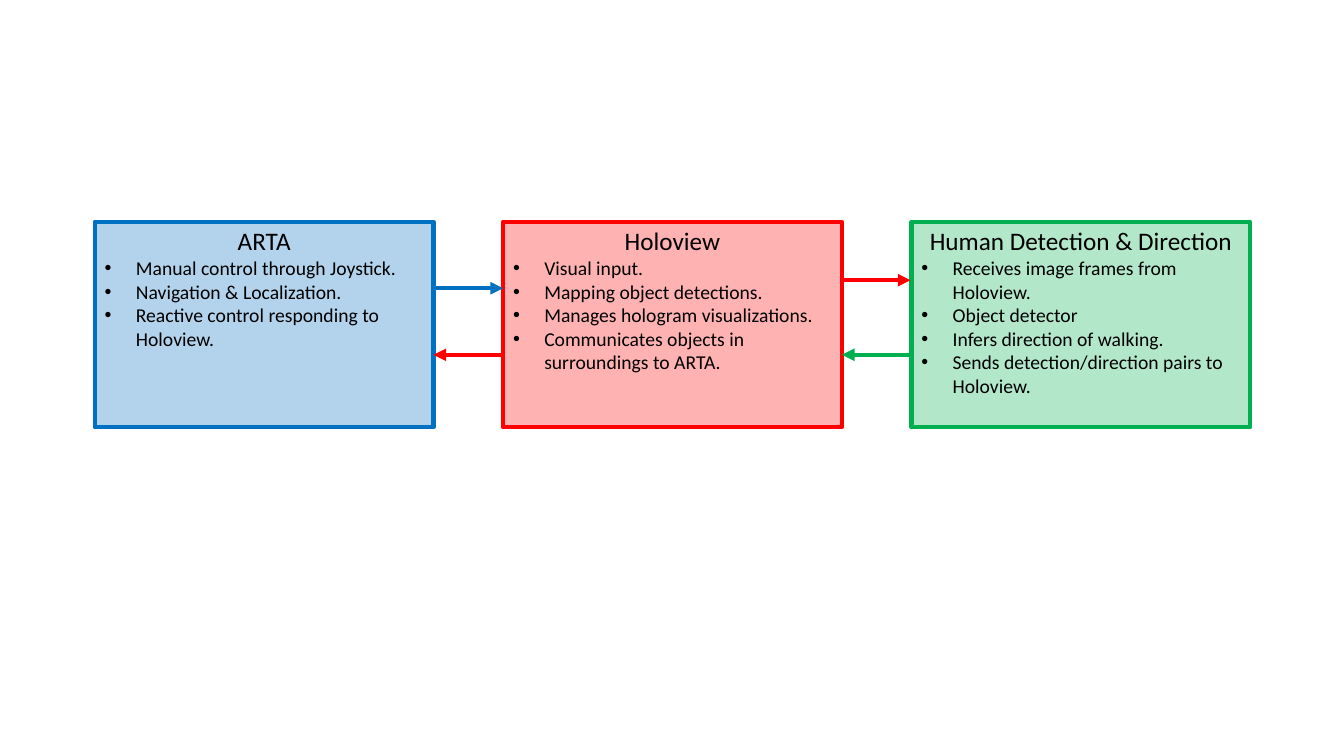
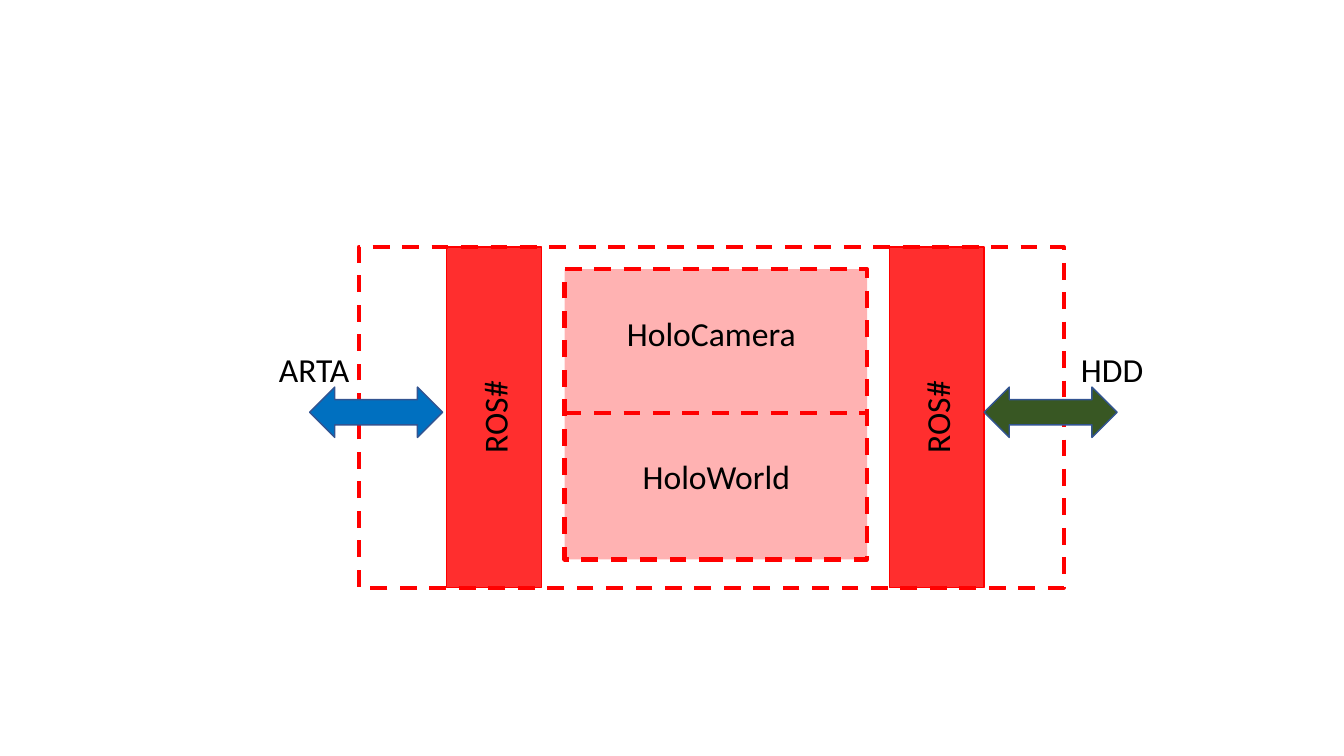
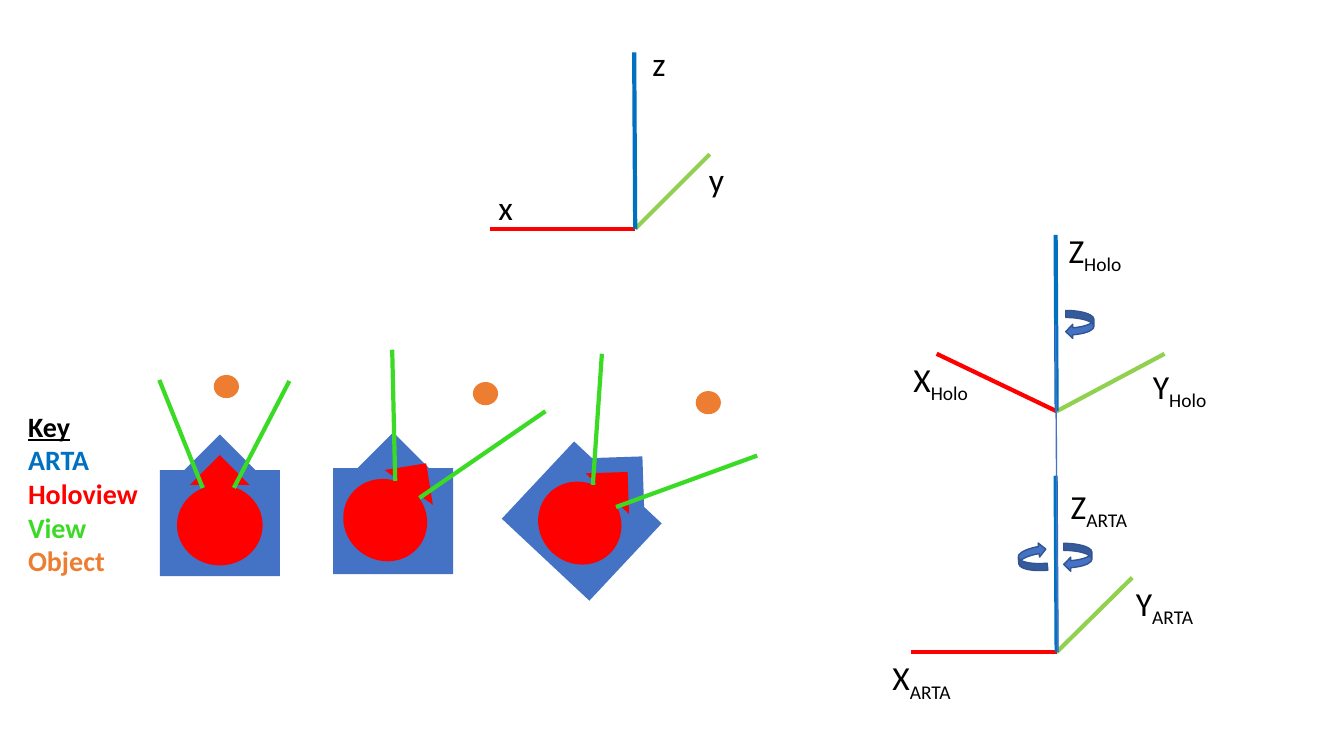
from dataclasses import dataclass
from math import cos, radians, sin

from lxml.etree import SubElement as Sub
from pptx import Presentation
from pptx.dml.color import RGBColor
from pptx.enum.dml import MSO_LINE
from pptx.enum.shapes import MSO_CONNECTOR as Link, MSO_SHAPE as Kind
from pptx.enum.text import MSO_ANCHOR as Anchor, PP_ALIGN as Align
from pptx.oxml.ns import qn
from pptx.util import Inches, Pt

FONT = "Calibri"
BLACK, RED, BLUE, GREEN = "000000", "FF0000", "0070C0", "00B050"
LIME, STEEL, EDGE, PINE = "92D050", "4472C4", "325491", "385723"
VIEW, ORANGE = "3BDB25", "ED7D31"
Point = tuple[float, float]
Box = tuple[float, float, float, float]


@dataclass
class Card:
    title: str
    color: str
    items: list[str]


@dataclass
class Label:
    text: str
    box: Box


@dataclass
class Axes:
    hub: Point
    tips: list[Point]
    spots: list[Point]
    names: str
    sub: str = ""
    width: float = 0.94


@dataclass
class Robot:
    body: Point
    turn: float
    head: Point
    gaze: float
    views: list[tuple[Point, Point]]
    goal: Point


def paint(form, color: str, alpha: int = 100) -> None:
    form.solid()
    form.fore_color.rgb = RGBColor.from_string(color)
    if alpha < 100:
        node = form._xPr.find(qn("a:solidFill"))[0]
        Sub(node, qn("a:alpha")).set("val", str(alpha * 1000))


def stroke(line, color: str, width: float, dash: bool) -> None:
    paint(line.fill, color)
    line.width = Pt(width)
    if dash:
        line.dash_style = MSO_LINE.DASH


def shape(slide, kind, box: Box, fill: str = "", alpha: int = 100,
          line: str = "", width: float = 1, dash: bool = False, turn: float = 0):
    item = slide.shapes.add_shape(kind, *map(Inches, box))
    item.shadow.inherit = False
    item.rotation = turn
    if fill:
        paint(item.fill, fill, alpha)
    else:
        item.fill.background()
    if line:
        stroke(item.line, line, width, dash)
    else:
        item.line.fill.background()
    return item


def center(slide, kind, mid: Point, size: Point, fill: str, turn: float = 0) -> None:
    box = (mid[0] - size[0] / 2, mid[1] - size[1] / 2, *size)
    shape(slide, kind, box, fill, turn=turn)


def link(slide, start: Point, end: Point, color: str, width: float = 3,
         dash: bool = False, arrow: bool = False) -> None:
    item = slide.shapes.add_connector(Link.STRAIGHT, *map(Inches, start + end))
    stroke(item.line, color, width, dash)
    props = item._element.spPr
    Sub(props, qn("a:effectLst"))
    if arrow:
        Sub(props.find(qn("a:ln")), qn("a:tailEnd")).set("type", "triangle")


def write(frame, text: str, size: float = 24, color: str = BLACK,
          align=Align.CENTER, bold: bool = False, under: bool = False,
          bullet: bool = False, sub: str = "") -> None:
    para = frame.paragraphs[0] if not frame.text else frame.add_paragraph()
    para.alignment = align
    if bullet:
        props = para._p.get_or_add_pPr()
        props.set("marL", str(Inches(0.31)))
        props.set("indent", str(Inches(-0.31)))
        Sub(props, qn("a:buFont")).set("typeface", "Arial")
        Sub(props, qn("a:buChar")).set("char", "•")
    for part in filter(None, (text, sub)):
        run = para.add_run()
        run.text = part
        font = run.font
        font.name, font.size, font.bold, font.underline = FONT, Pt(size), bold, under
        font.color.rgb = RGBColor.from_string(color)
    if sub:
        run._r.get_or_add_rPr().set("baseline", "-25000")


def label(slide, text: str, box: Box, **style) -> None:
    frame = slide.shapes.add_textbox(*map(Inches, box)).text_frame
    frame.word_wrap = False
    write(frame, text, **style)


def draw_card(slide, card: Card, left: float) -> None:
    item = shape(slide, Kind.RECTANGLE, (left, 2.2, 3.36, 2.04),
                 card.color, 30, card.color, 3)
    frame = item.text_frame
    frame.word_wrap = True
    frame.vertical_anchor = Anchor.TOP
    frame.margin_top = Inches(0.04)
    write(frame, card.title, size=18)
    for text in card.items:
        write(frame, text, size=14, align=Align.LEFT, bullet=True)


def draw_axes(slide, axes: Axes) -> None:
    for tip, color in zip(axes.tips, (RED, LIME, BLUE)):
        link(slide, tip, axes.hub, color)
    for name, spot in zip(axes.names, axes.spots):
        label(slide, name, (*spot, axes.width, 0.5), sub=axes.sub)


def ahead(mid: Point, dist: float, turn: float) -> Point:
    angle = radians(turn)
    return mid[0] + dist * sin(angle), mid[1] - dist * cos(angle)


def draw_robot(slide, bot: Robot) -> None:
    center(slide, Kind.RECTANGLE, bot.body, (1.19, 1.05), STEEL, bot.turn)
    center(slide, Kind.DOWN_ARROW, ahead(bot.body, 0.5, bot.turn),
           (0.76, 0.76), STEEL, bot.turn + 180)
    center(slide, Kind.OVAL, bot.head, (0.85, 0.8), RED, bot.gaze)
    center(slide, Kind.DOWN_ARROW, ahead(bot.head, 0.35, bot.gaze),
           (0.59, 0.69), RED, bot.gaze + 180)
    for start, end in bot.views:
        link(slide, start, end, VIEW)
    shape(slide, Kind.FLOWCHART_CONNECTOR, (*bot.goal, 0.25, 0.23), ORANGE)


CARDS = [
    Card("ARTA", BLUE, [
        "Manual control through Joystick.",
        "Navigation & Localization.",
        "Reactive control responding to Holoview."]),
    Card("Holoview", RED, [
        "Visual input.",
        "Mapping object detections.",
        "Manages hologram visualizations.",
        "Communicates objects in surroundings to ARTA."]),
    Card("Human Detection & Direction", GREEN, [
        "Receives image frames from Holoview.",
        "Object detector",
        "Infers direction of walking.",
        "Sends detection/direction pairs to Holoview."]),
]
FLOWS = [
    ((8.35, 2.78), (9.03, 2.78), RED),
    ((9.03, 3.52), (8.35, 3.52), GREEN),
    ((5, 3.52), (4.3, 3.52), RED),
    ((4.32, 2.86), (4.99, 2.86), BLUE),
]
PARTS = [
    Label("HoloWorld", (5.08, 4.47, 4.05, 0.5)),
    Label("HoloCamera", (5.03, 3.06, 4.05, 0.5)),
    Label("ARTA", (2.64, 3.41, 0.95, 0.5)),
    Label("HDD", (10.56, 3.41, 0.94, 0.5)),
]
TRIADS = [
    Axes((10.48, 6.47), [(9.04, 6.47), (11.23, 5.73), (10.47, 4.72)],
         [(8.67, 6.47), (11.08, 5.73), (10.43, 4.77)], "XYZ", "ARTA"),
    Axes((6.3, 2.27), [(4.86, 2.27), (7.04, 1.53), (6.29, 0.52)],
         [(4.82, 1.81), (6.91, 1.53), (6.34, 0.38)], "xyz", width=0.39),
    Axes((10.48, 4.08), [(9.29, 3.51), (11.55, 3.51), (10.47, 2.33)],
         [(8.86, 3.51), (11.23, 3.58), (10.39, 2.23)], "XYZ", "Holo"),
]
ROBOTS = [
    Robot((2.18, 5.19), 0, (2.18, 5.21), 0,
          [((1.58, 3.77), (2.01, 4.84)), ((2.87, 3.78), (2.32, 4.84))],
          (2.12, 3.72)),
    Robot((3.9, 5.17), 0, (3.82, 5.16), 35.8,
          [((3.89, 3.47), (3.92, 4.77)), ((5.41, 4.08), (4.16, 4.94))],
          (4.69, 3.79)),
    Robot((5.77, 5.17), 43.1, (5.75, 5.19), 43.1,
          [((7.51, 4.52), (6.11, 5.03)), ((5.97, 3.51), (5.88, 4.81))],
          (6.9, 3.88)),
]
SPINS = [(10.55, 5.39, 0), (10.1, 5.39, 174.6), (10.57, 3.08, 0)]
KEYS = [("ARTA", BLUE), ("Holoview", RED), ("View", VIEW), ("Object", ORANGE)]


def draw_flow(slide) -> None:
    for i, card in enumerate(CARDS):
        draw_card(slide, card, 0.94 + i * 4.05)
    for start, end, color in FLOWS:
        link(slide, start, end, color, arrow=True)


def draw_parts(slide) -> None:
    shape(slide, Kind.RECTANGLE, (5.6, 2.67, 3, 2.88), RED, 30, RED, 3, True)
    shape(slide, Kind.RECTANGLE, (3.56, 2.45, 6.99, 3.38), line=RED, width=3, dash=True)
    for left in (3.21, 7.6):
        bar = shape(slide, Kind.RECTANGLE, (left, 3.67, 3.38, 0.94), RED, 82, RED, turn=270)
        bar.text_frame.vertical_anchor = Anchor.MIDDLE
        write(bar.text_frame, "ROS#")
    link(slide, (5.6, 4.1), (8.6, 4.1), RED, dash=True)
    for left, color in ((3.07, BLUE), (9.76, PINE)):
        shape(slide, Kind.LEFT_RIGHT_ARROW, (left, 3.84, 1.32, 0.5), color, line=EDGE)
    for part in PARTS:
        label(slide, part.text, part.box)


def draw_views(slide) -> None:
    for axes in TRIADS:
        draw_axes(slide, axes)
    link(slide, (10.49, 6.47), (10.47, 3.22), STEEL, 1)
    for left, top, turn in SPINS:
        shape(slide, Kind.CURVED_LEFT_ARROW, (left, top, 0.28, 0.28),
              STEEL, line=EDGE, turn=turn)
    for bot in ROBOTS:
        draw_robot(slide, bot)
    frame = slide.shapes.add_textbox(*map(Inches, (0.18, 4.01, 1.33, 1.78))).text_frame
    frame.word_wrap = True
    write(frame, "Key", size=20, align=Align.LEFT, bold=True, under=True)
    for text, color in KEYS:
        write(frame, text, size=20, color=color, align=Align.LEFT, bold=True)


def main() -> None:
    deck = Presentation()
    deck.slide_width, deck.slide_height = Inches(13.33), Inches(7.5)
    for draw in (draw_flow, draw_parts, draw_views):
        draw(deck.slides.add_slide(deck.slide_layouts[6]))
    deck.save("out.pptx")


if __name__ == "__main__":
    main()
